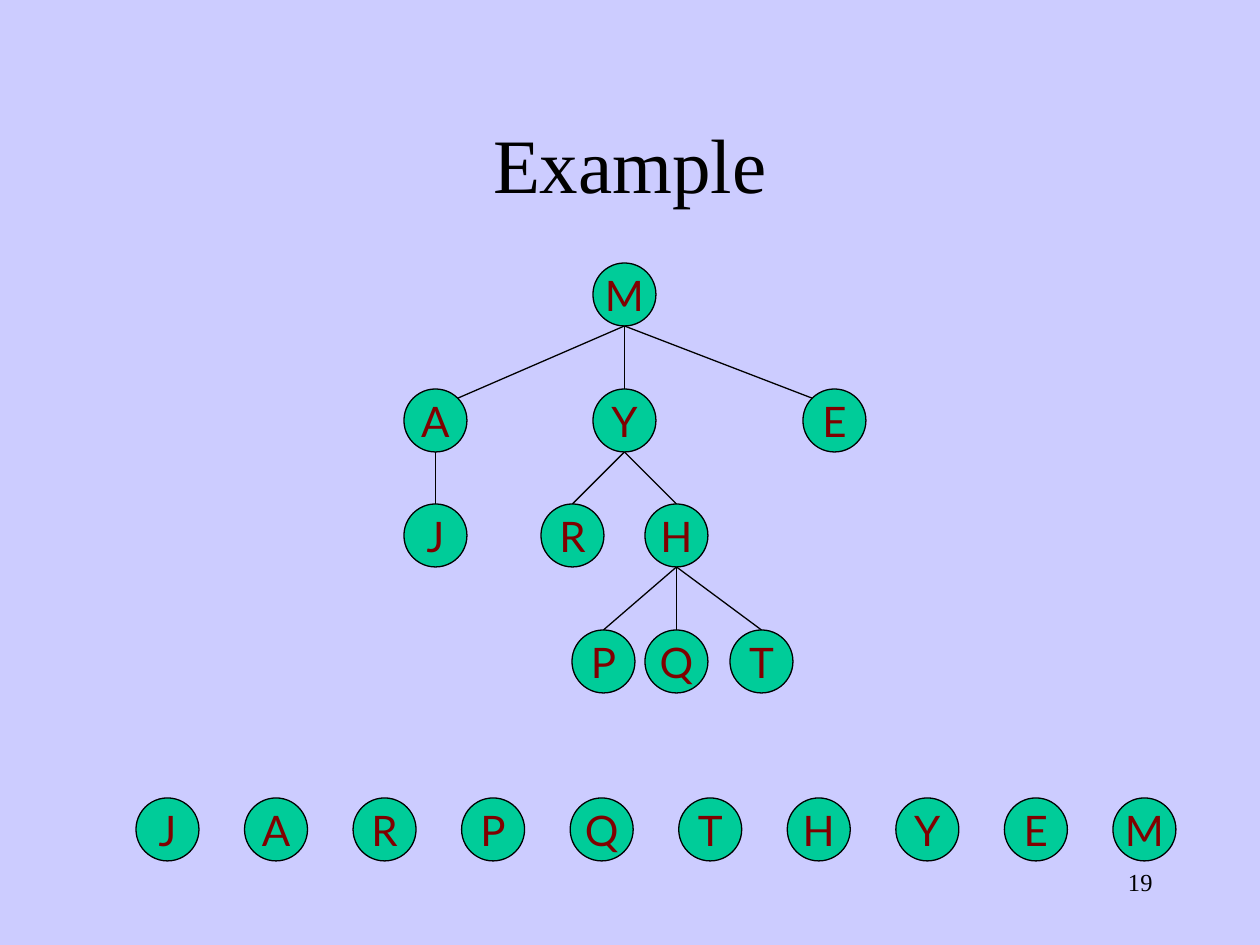
import pptx
import pptx.dml.color
import pptx.enum.shapes
import pptx.enum.text
import pptx.oxml.ns
import pptx.util
from lxml import etree

PX = 914400 // 126
NODE = 63
SERIF = "Times New Roman"
ALIGN = pptx.enum.text.PP_ALIGN
ANCHOR = pptx.enum.text.MSO_ANCHOR

# Node label: left and top within the tree
TREE_NODES = {
    "M": (189, 0),
    "A": (0, 126), "Y": (189, 126), "E": (399, 126),
    "J": (0, 241), "R": (137, 241), "H": (241, 241),
    "P": (168, 367), "Q": (241, 367), "T": (326, 367),
}
TREE_CHILDREN = {"M": "AYE", "Y": "RH", "A": "J", "H": "PQT"}
# Children met on their upper corner: horizontal side of that corner
CORNER_SIDES = {"A": 1, "E": -1}
POSTORDER = "JARPQTHYEM"


def px(*values):
    return [pptx.util.Emu(round(value * PX)) for value in values]


def color(value):
    return pptx.dml.color.RGBColor.from_string(value)


def set_text(shape, text, *, font, size, fill="000000", align=ALIGN.CENTER,
             anchor=ANCHOR.MIDDLE, wrap=True):
    frame = shape.text_frame
    frame.auto_size = pptx.enum.text.MSO_AUTO_SIZE.NONE
    frame.word_wrap = wrap
    frame.vertical_anchor = anchor
    frame.text = text
    paragraph = frame.paragraphs[0]
    paragraph.alignment = align
    paragraph.font.name = font
    paragraph.font.size = pptx.util.Pt(size)
    paragraph.font.color.rgb = color(fill)


def set_line(line):
    line.color.rgb = color("000000")
    line.width = pptx.util.Pt(0.75)


def add_node(shapes, label, left, top):
    node = shapes.add_shape(pptx.enum.shapes.MSO_SHAPE.OVAL,
                            *px(left, top, NODE, NODE))
    node.shadow.inherit = False
    node.fill.solid()
    node.fill.fore_color.rgb = color("00CC99")
    set_line(node.line)
    set_text(node, label, font="Lato", size=24, fill="800000", wrap=False)
    return node


def add_edge(shapes, start, end):
    edge = shapes.add_connector(pptx.enum.shapes.MSO_CONNECTOR.STRAIGHT,
                                *px(*start, *end))
    set_line(edge.line)
    properties = edge._element.spPr
    etree.SubElement(properties, pptx.oxml.ns.qn("a:effectLst"))
    return edge


def add_title(slide, left, top, width, height):
    title = slide.shapes.title
    title.left, title.top, title.width, title.height = px(left, top, width, height)
    set_text(title, "Example", font=SERIF, size=44)


def add_page_number(slide, left, top, width, height):
    box = slide.shapes.add_textbox(*px(left, top, width, height))
    set_text(box, "19", font=SERIF, size=14, align=ALIGN.RIGHT, anchor=ANCHOR.TOP)


def add_sequence(slide, left, top, width):
    step = (width - NODE) / (len(POSTORDER) - 1)
    for index, label in enumerate(POSTORDER):
        add_node(slide.shapes, label, left + index * step, top)


def add_tree(slide, left, top):
    shapes = slide.shapes.add_group_shape().shapes
    places = {label: (left + x, top + y) for label, (x, y) in TREE_NODES.items()}
    nodes = {label: add_node(shapes, label, *place)
             for label, place in places.items()}
    radius = NODE / 2
    diagonal = radius * 0.5 ** 0.5
    for parent, children in TREE_CHILDREN.items():
        parent_x, parent_y = places[parent]
        start = (parent_x + radius, parent_y + NODE)
        for child in children:
            x, y = places[child]
            if child in CORNER_SIDES:
                end = (x + radius + CORNER_SIDES[child] * diagonal,
                       y + radius - diagonal)
                add_edge(shapes, start, end)
            else:
                edge = add_edge(shapes, start, (x + radius, y))
                edge.end_connect(nodes[child], 0)


def main():
    presentation = pptx.Presentation()
    presentation.slide_width, presentation.slide_height = px(1260, 945)
    slide = presentation.slides.add_slide(presentation.slide_layouts[5])
    slide.background.fill.solid()
    slide.background.fill.fore_color.rgb = color("CCCCFF")

    add_page_number(slide, 903, 861, 262, 63)
    add_title(slide, 94, 84, 1072, 158)
    add_sequence(slide, 136, 798, 1040)
    add_tree(slide, 404, 263)
    presentation.save("out.pptx")


if __name__ == "__main__":
    main()
